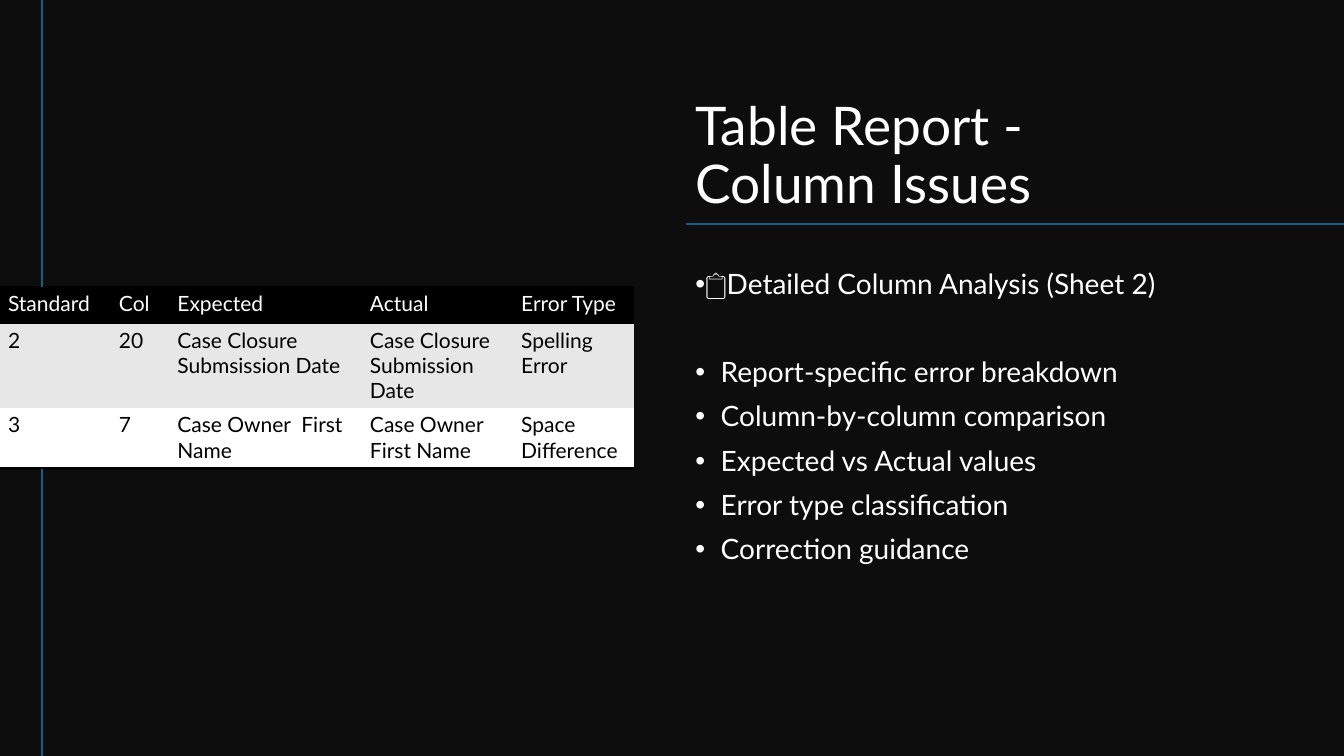
from lxml import etree
from pptx import Presentation
from pptx.dml.color import RGBColor
from pptx.enum.shapes import MSO_CONNECTOR, MSO_SHAPE
from pptx.enum.text import MSO_ANCHOR
from pptx.oxml.ns import qn
from pptx.util import Inches, Pt

STRAIGHT = MSO_CONNECTOR.STRAIGHT
RECTANGLE = MSO_SHAPE.RECTANGLE
TOP, BOTTOM = MSO_ANCHOR.TOP, MSO_ANCHOR.BOTTOM

THEME = {
    "font": "Lato", "title": 38, "body": 20, "cell": 15,
    "dark": "0D0D0D", "white": "FFFFFF", "black": "000000",
    "band": "E7E7E7", "accent": "156082",
}
PLAIN_TABLE = "{2D5ABB26-0587-4C30-8999-92F81FD0307C}"

# Slide grid, in inches
WIDTH, HEIGHT = 13.33, 7.5
RAIL = 0.42
COLUMN_LEFT, COLUMN_WIDTH = 6.8, 5.07
RULE_TOP = 2.22
TABLE_TOP = 2.85
COLUMN_WIDTHS = [1.1, 0.58, 1.91, 1.5, 1.2]
ROW_HEIGHTS = [0.36, 0.84, 0.6]
TABLE_BOTTOM = TABLE_TOP + sum(ROW_HEIGHTS)


def style_text(para, size, color):
    formats = {"name": THEME["font"], "size": Pt(THEME[size])}
    for span in para.runs:
        for name, value in formats.items():
            setattr(span.font, name, value)
        span.font.color.rgb = RGBColor.from_string(THEME[color])


def add_text_box(page, top, height, anchor):
    box = page.shapes.add_textbox(Inches(COLUMN_LEFT), Inches(top),
                                  Inches(COLUMN_WIDTH), Inches(height))
    box.text_frame.word_wrap = True
    box.text_frame.vertical_anchor = anchor
    return box.text_frame


deck = Presentation()
deck.slide_width, deck.slide_height = Inches(WIDTH), Inches(HEIGHT)
page = deck.slides.add_slide(deck.slide_layouts[6])

# Dark backdrop
backdrop = page.shapes.add_shape(RECTANGLE, 0, 0, deck.slide_width, deck.slide_height)
backdrop.shadow.inherit = False
backdrop.fill.solid()
backdrop.fill.fore_color.rgb = RGBColor.from_string(THEME["dark"])
backdrop.line.fill.background()

# Title
title = add_text_box(page, 0.73, 1.45, BOTTOM).paragraphs[0]
title.text = "Table Report - Column Issues"
title.line_spacing = 0.9
style_text(title, "title", "white")

# Bulleted points: text, left margin in inches, space before in points
points = [
    ("📋Detailed Column Analysis (Sheet 2)", 0, 0),
    ("Report-specific error breakdown", 0.25, 41.6),
    ("Column-by-column comparison", 0.25, 10),
    ("Expected vs Actual values", 0.25, 10),
    ("Error type classification", 0.25, 10),
    ("Correction guidance", 0.25, 10),
]
body = add_text_box(page, 2.63, 3.76, TOP)
for index, (text, margin, space) in enumerate(points):
    para = body.paragraphs[0] if index == 0 else body.add_paragraph()
    para.text = text
    para.line_spacing = 0.9
    para.space_before = Pt(space)
    properties = para._p.get_or_add_pPr()
    properties.set("marL", str(Inches(margin)))
    properties.set("indent", str(Inches(-0.25)))
    etree.SubElement(properties, qn("a:buFont"), typeface="Arial")
    etree.SubElement(properties, qn("a:buChar"), char="•")
    style_text(para, "body", "white")

# Column issues table
rows = [
    ["Standard", "Col", "Expected", "Actual", "Error Type"],
    ["2", "20", "Case Closure Submsission Date", "Case Closure Submission Date",
     "Spelling Error"],
    ["3", "7", "Case Owner  First Name", "Case Owner First Name", "Space Difference"],
]
row_styles = [("black", "white", "a:lnT"), ("band", "black", None),
              ("white", "black", "a:lnB")]
frame = page.shapes.add_table(len(rows), len(COLUMN_WIDTHS), 0, Inches(TABLE_TOP),
                              Inches(sum(COLUMN_WIDTHS)), Inches(sum(ROW_HEIGHTS)))
table = frame.table
table.horz_banding = False
table._tbl.tblPr.find(qn("a:tableStyleId")).text = PLAIN_TABLE
for column, width in zip(table.columns, COLUMN_WIDTHS):
    column.width = Inches(width)
margins = {"margin_left": 0.08, "margin_top": 0.04,
           "margin_right": 0.08, "margin_bottom": 0.04}
for row, height, texts, (fill, ink, edge) in zip(table.rows, ROW_HEIGHTS, rows, row_styles):
    row.height = Inches(height)
    for cell, text in zip(row.cells, texts):
        cell.text = text
        for name, value in margins.items():
            setattr(cell, name, Inches(value))
        cell.fill.solid()
        cell.fill.fore_color.rgb = RGBColor.from_string(THEME[fill])
        style_text(cell.text_frame.paragraphs[0], "cell", ink)
        if edge:
            border = etree.Element(qn(edge), w=str(Pt(2)))
            solid = etree.SubElement(border, qn("a:solidFill"))
            etree.SubElement(solid, qn("a:srgbClr"), val=THEME["black"])
            cell._tc.get_or_add_tcPr().insert(0, border)

# Accent rules: under the title, and above and below the table
rules = [
    (COLUMN_LEFT, RULE_TOP, WIDTH, RULE_TOP),
    (RAIL, TABLE_TOP, RAIL, 0),
    (RAIL, HEIGHT, RAIL, TABLE_BOTTOM),
]
for ends in rules:
    rule = page.shapes.add_connector(STRAIGHT, *[Inches(value) for value in ends])
    rule.line.width = Pt(1.5)
    rule.line.color.rgb = RGBColor.from_string(THEME["accent"])
    etree.SubElement(rule._element.spPr, qn("a:effectLst"))

deck.save("out.pptx")
